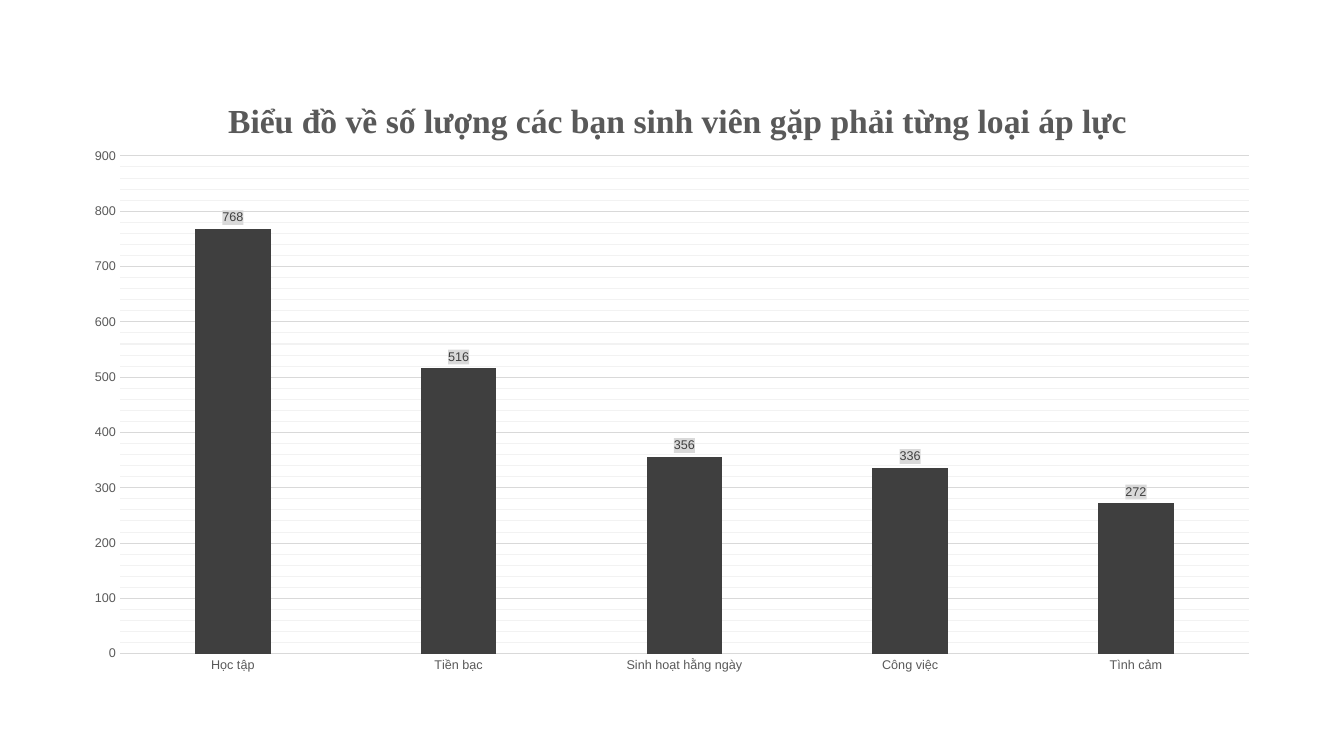
from lxml import etree
from pptx import Presentation, util as u
from pptx.chart import data as chart_data
from pptx.dml import color
from pptx.enum import chart as ch
from pptx.oxml import ns

COLORS = {"bar": "3F3F3F", "text": "595959", "label": "404040",
          "label_fill": "D9D9D9", "grid": "D9D9D9", "minor_grid": "F2F2F2"}
AXIS_FONT = {"name": "Arial", "size": u.Pt(9), "bold": False}
TITLE_FONT = {"name": "Times New Roman", "size": u.Pt(24), "bold": True}
TITLE = "Biểu đồ về số lượng các bạn sinh viên gặp phải từng loại áp lực"
PRESSURES = {"Học tập": 768, "Tiền bạc": 516, "Sinh hoạt hằng ngày": 356,
             "Công việc": 336, "Tình cảm": 272}


def rgb(name):
    """Return the named palette colour."""
    return color.RGBColor.from_string(COLORS[name])


def set_values(target, values):
    """Set each attribute of target from a dict."""
    for name, value in values.items():
        setattr(target, name, value)


def style_font(font, values, color_name):
    """Apply font values and a palette colour."""
    set_values(font, values)
    font.color.rgb = rgb(color_name)


def style_line(line, color_name):
    """Give a line the thin chart width and a palette colour."""
    line.width = u.Pt(0.75)
    line.color.rgb = rgb(color_name)


def add_solid_fill(parent, color_name):
    """Append a solid fill element in a palette colour."""
    fill = etree.SubElement(parent, ns.qn("a:solidFill"))
    etree.SubElement(fill, ns.qn("a:srgbClr")).set("val", COLORS[color_name])


def place(parent, index, layout_values):
    """Fix the layout of a chart part as fractions of the chart."""
    for old in parent.findall(ns.qn("c:layout")):
        parent.remove(old)
    layout = etree.Element(ns.qn("c:layout"))
    manual = etree.SubElement(layout, ns.qn("c:manualLayout"))
    for tag, value in layout_values.items():
        etree.SubElement(manual, ns.qn(f"c:{tag}")).set("val", str(value))
    parent.insert(index, layout)


def style_title(chart):
    """Write and place the chart title."""
    chart.has_title = True
    title = chart.chart_title
    title.include_in_layout = False
    heading = title.text_frame.paragraphs[0].add_run()
    heading.text = TITLE
    style_font(heading.font, TITLE_FONT, "text")
    place(title._element, 1, {"xMode": "edge", "yMode": "edge",
                              "x": 0.126, "y": 0.036})


def style_axes(chart):
    """Format both axes and the two levels of gridlines."""
    categories, counts = chart.category_axis, chart.value_axis
    for axis in (categories, counts):
        set_values(axis, {"major_tick_mark": ch.XL_TICK_MARK.NONE,
                          "minor_tick_mark": ch.XL_TICK_MARK.NONE})
        style_font(axis.tick_labels.font, AXIS_FONT, "text")
    style_line(categories.format.line, "grid")
    set_values(counts, {"minimum_scale": 0, "maximum_scale": 900,
                        "major_unit": 100, "minor_unit": 20,
                        "has_major_gridlines": True,
                        "has_minor_gridlines": True})
    counts.format.line.fill.background()
    style_line(counts.major_gridlines.format.line, "grid")
    minor_grid = counts._element.find(ns.qn("c:minorGridlines"))
    minor_format = etree.SubElement(minor_grid, ns.qn("c:spPr"))
    minor_line = etree.SubElement(minor_format, ns.qn("a:ln"))
    minor_line.set("w", str(u.Pt(0.75)))
    add_solid_fill(minor_line, "minor_grid")


def style_bars(plot):
    """Colour the bars and put shaded values above them."""
    set_values(plot, {"gap_width": 199, "vary_by_categories": False})
    students = plot.series[0]
    students.format.fill.solid()
    students.format.fill.fore_color.rgb = rgb("bar")
    labels = students.data_labels
    set_values(labels, {"show_value": True,
                        "position": ch.XL_LABEL_POSITION.OUTSIDE_END})
    style_font(labels.font, AXIS_FONT, "label")
    shade = etree.Element(ns.qn("c:spPr"))
    add_solid_fill(shade, "label_fill")
    labels._element.find(ns.qn("c:txPr")).addprevious(shade)


def add_pressure_chart(slide, left, top, width, height):
    """Draw the column chart of pressures in the given box."""
    counts = chart_data.CategoryChartData()
    counts.categories = list(PRESSURES)
    counts.add_series("Series 1", list(PRESSURES.values()))
    chart = slide.shapes.add_chart(ch.XL_CHART_TYPE.COLUMN_CLUSTERED,
                                   left, top, width, height, counts).chart
    chart.has_legend = False
    set_values(chart.font, {"name": "Arial", "size": u.Pt(10)})
    style_title(chart)
    style_axes(chart)
    style_bars(chart.plots[0])
    plot_area = chart._chartSpace.find(".//" + ns.qn("c:plotArea"))
    place(plot_area, 0, {"layoutTarget": "inner", "xMode": "edge",
                         "yMode": "edge", "x": 0.041, "y": 0.139,
                         "w": 0.939, "h": 0.811})


def main():
    """Build and save the slide."""
    deck = Presentation()
    set_values(deck, {"slide_width": u.Cm(33.87), "slide_height": u.Cm(19.05)})
    slide = deck.slides.add_slide(deck.slide_layouts[6])
    add_pressure_chart(slide, u.Cm(1.78), u.Cm(1.78), u.Cm(30.3), u.Cm(15.47))
    deck.save("out.pptx")


if __name__ == "__main__":
    main()
